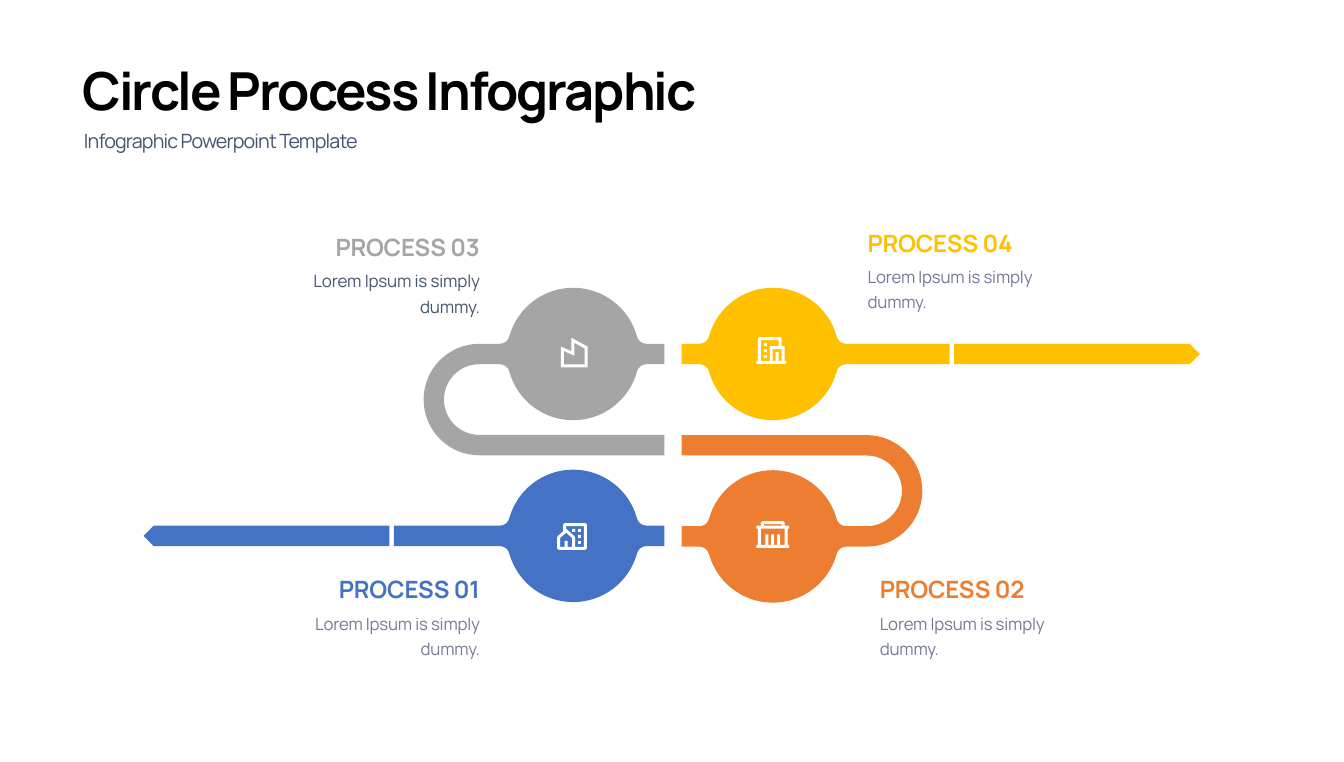
from math import cos, radians, sin, tan

from pptx import Presentation
from pptx.dml.color import RGBColor
from pptx.enum.shapes import MSO_SHAPE
from pptx.enum.text import PP_ALIGN
from pptx.oxml import parse_xml
from pptx.oxml.ns import nsdecls
from pptx.util import Pt

THEME = {
    "font": "Manrope",
    "black": "000000", "slate": "44546A", "muted": "747A94", "white": "FFFFFF",
    "blue": "4472C4", "orange": "ED7D31", "gray": "A5A5A5", "yellow": "FFC000",
    "title": 74, "subtitle": 27.8, "heading": 33.7, "body": 23.8, "body_large": 24,
}

TITLE = "Circle Process Infographic"
SUBTITLE = "Infographic Powerpoint Template"
BODY = "Lorem Ipsum is simply dummy."


def window(x, y):
    return [(x, y), (x + 2, y), (x + 2, y + 2), (x, y + 2)]


# Icon contours on a grid of small units, outer edge first.
HOME = [
    [(19, 18), (1, 18), (0, 17), (0, 9.5), (0.4, 8.8), (4, 5.5), (4, 1), (5, 0),
     (19, 0), (20, 1), (20, 17)],
    [(7, 16), (10, 16), (10, 10), (6, 6.5), (2, 10), (2, 16), (5, 16), (5, 12), (7, 12)],
    [(12, 16), (18, 16), (18, 2), (6, 2), (6, 4), (6.6, 4.3), (11.5, 8.8), (12, 9.6)],
    window(14, 4), window(14, 8), window(14, 12), window(10, 4),
]
BANK = [
    [(19, 3), (22, 3), (22, 5), (21, 5), (21, 16), (22, 16), (22, 18), (0, 18), (0, 16),
     (1, 16), (1, 5), (0, 5), (0, 3), (3, 3), (3, 1), (4, 0), (18, 0), (19, 1)],
    [(19, 5), (3, 5), (3, 16), (6, 16), (6, 9), (8, 9), (8, 16), (10, 16), (10, 9),
     (12, 9), (12, 16), (14, 16), (14, 9), (16, 9), (16, 16), (19, 16)],
    [(5, 2), (5, 3), (17, 3), (17, 2)],
]
FACTORY = [
    [(7, 9), (7, 0), (18, 6), (18, 20), (0, 20), (0, 6)],
    [(9, 3.4), (9, 12), (2, 9), (2, 18), (16, 18), (16, 7.2)],
]
OFFICE = [
    [(20, 18), (0, 18), (0, 16), (1, 16), (1, 1), (2, 0), (16, 0), (17, 1), (17, 6),
     (19, 6), (19, 16), (20, 16)],
    [(15, 16), (17, 16), (17, 8), (11, 8), (11, 16), (13, 16), (13, 10), (15, 10)],
    [(15, 6), (15, 2), (3, 2), (3, 16), (9, 16), (9, 6)],
    window(5, 4), window(5, 8), window(5, 12),
]

# facing: 1 puts the cut end of the track on the right, -1 on the left.
# reach: length of a straight track beyond the disc centre, None for a bend.
STEPS = [
    dict(name="PROCESS 02", color="orange", disc=(1092.2, 758.3), facing=-1, reach=None,
         icon=BANK, icon_at=(1069, 736.6), text_at=(1243.4, 812.9), body_top=860.4,
         body_color="muted", body_size="body"),
    dict(name="PROCESS 03", color="gray", disc=(810, 500.4), facing=1, reach=None,
         icon=FACTORY, icon_at=(792.7, 477.4), text_at=(424.8, 328.3), body_top=375.8,
         body_color="slate", body_size="body_large"),
    dict(name="PROCESS 04", color="yellow", disc=(1092.2, 500.4), facing=-1, reach=249.8,
         icon=OFFICE, icon_at=(1069, 476.6), text_at=(1226.2, 323.3), body_top=370.1,
         body_color="muted", body_size="body"),
    dict(name="PROCESS 01", color="blue", disc=(810, 757.5), facing=1, reach=253.4,
         icon=HOME, icon_at=(787.5, 739.4), text_at=(424.8, 812.2), body_top=860.4,
         body_color="muted", body_size="body"),
]

DISC_RADIUS = 93.6
HALF_TRACK = 14.4
CUT = 128.9            # disc centre to the cut end
BEND_X = -132.5        # disc centre to bend centre
BEND_OUTER = 78.8
BEND_INNER = BEND_OUTER - 2 * HALF_TRACK
ARROW_LENGTH, ARROW_GAP = 347.4, 6.3
ICON_UNIT = 2.1


def arc(center_x, center_y, radius, start, end):
    """Two curves, each a list of two control points and an end point."""
    step = radians(end - start) / 2
    pull = 4 / 3 * tan(step / 4)
    curves = []
    for first in (radians(start), radians(start) + step):
        last = first + step
        unit = [(cos(first) - pull * sin(first), sin(first) + pull * cos(first)),
                (cos(last) + pull * sin(last), sin(last) - pull * cos(last)),
                (cos(last), sin(last))]
        curves.append([(center_x + radius * x, center_y + radius * y) for x, y in unit])
    return curves


def track_outline(reach):
    """Points and curves around a disc at the origin, with the cut end on the right."""
    lower_edge = [
        [(-97.3, HALF_TRACK), (-91.5, 18.7), (-90, 25.5)],
        *arc(0, 0, DISC_RADIUS, 164.2, 15.8),
        [(91.5, 18.7), (97.3, HALF_TRACK), (104, HALF_TRACK)],
    ]
    upper_edge = [[(-x, -y) for x, y in curve] for curve in lower_edge]
    if reach:
        far = [(-reach, -HALF_TRACK), (-reach, HALF_TRACK)]
    else:
        bend_y = BEND_OUTER - HALF_TRACK
        far = [(BEND_X, -HALF_TRACK), *arc(BEND_X, bend_y, BEND_OUTER, 270, 90),
               (CUT, bend_y + BEND_OUTER), (CUT, bend_y + BEND_INNER),
               (BEND_X, bend_y + BEND_INNER), *arc(BEND_X, bend_y, BEND_INNER, 90, 270)]
    return [(CUT, -HALF_TRACK), (104, -HALF_TRACK), *upper_edge, *far,
            (-104, HALF_TRACK), *lower_edge, (CUT, HALF_TRACK)]


def paint(shape, color):
    shape.shadow.inherit = False
    shape.fill.solid()
    shape.fill.fore_color.rgb = RGBColor.from_string(THEME[color])
    shape.line.fill.background()


def add_outline(slide, contours, origin, scale, color):
    def place(point):
        return tuple(Pt(start + scale * value) for start, value in zip(origin, point))

    builder = slide.shapes.build_freeform(*place(contours[0][0]))
    curve_starts, line_count = [], 0
    for number, (start, *parts) in enumerate(contours):
        if number:
            builder.move_to(*place(start))
        points = []
        for part in parts:
            if isinstance(part, list):
                curve_starts.append(line_count + len(points))
                points.extend(part)
            else:
                points.append(part)
        builder.add_line_segments([place(point) for point in points], close=True)
        line_count += len(points)
    shape = builder.convert_to_shape()
    lines = shape._element.xpath(".//a:lnTo")
    for index in curve_starts:
        curve = parse_xml(f"<a:cubicBezTo {nsdecls('a')}/>")
        lines[index].addprevious(curve)
        for line in lines[index:index + 3]:
            curve.append(line[0])
            line.getparent().remove(line)
    paint(shape, color)


def add_text(slide, text, box, size, color, spacing, bold=False, line=None,
             align=PP_ALIGN.LEFT, insets=(0, 0)):
    shape = slide.shapes.add_textbox(*[Pt(value) for value in box])
    frame = shape.text_frame
    frame.word_wrap = True
    frame.margin_left = frame.margin_right = Pt(insets[0])
    frame.margin_top = frame.margin_bottom = Pt(insets[1])
    paragraph = frame.paragraphs[0]
    paragraph.alignment = align
    if line:
        paragraph.line_spacing = Pt(line)
    run = paragraph.add_run()
    run.text = text
    run._r.get_or_add_rPr().set("spc", str(round(spacing * 100)))
    font = paragraph.font
    font.name, font.size, font.bold = THEME["font"], Pt(THEME[size]), bold
    font.color.rgb = RGBColor.from_string(THEME[color])


def add_arrow(slide, step):
    center_x, center_y = step["disc"]
    start = step["reach"] + ARROW_GAP
    left = center_x + start if step["facing"] < 0 else center_x - start - ARROW_LENGTH
    arrow = slide.shapes.add_shape(MSO_SHAPE.PENTAGON, Pt(left), Pt(center_y - HALF_TRACK),
                                   Pt(ARROW_LENGTH), Pt(2 * HALF_TRACK))
    arrow.rotation = 180 if step["facing"] > 0 else 0
    paint(arrow, step["color"])


def add_step(slide, step):
    add_outline(slide, [track_outline(step["reach"])], step["disc"], step["facing"],
                step["color"])
    if step["reach"]:
        add_arrow(slide, step)
    add_outline(slide, step["icon"], step["icon_at"], ICON_UNIT, "white")
    left, top = step["text_at"]
    align = PP_ALIGN.RIGHT if step["facing"] > 0 else PP_ALIGN.LEFT
    add_text(slide, step["name"], (left, top, 253.4, 41), "heading", step["color"], -0.3,
             bold=True, align=align)
    add_text(slide, BODY, (left, step["body_top"], 253.4, 72.7), step["body_size"],
             step["body_color"], -0.2, line=1.5 * THEME[step["body_size"]], align=align)


presentation = Presentation()
presentation.slide_width, presentation.slide_height = Pt(1899.4), Pt(1077.1)
slide = presentation.slides.add_slide(presentation.slide_layouts[6])
add_text(slide, TITLE, (109.4, 73.4, 1457.3, 99.4), "title", "black", -2.9,
         bold=True, line=94, insets=(7.2, 3.6))
add_text(slide, SUBTITLE, (111.6, 170.6, 1385.3, 46.8), "subtitle", "slate", -1.2,
         line=42, insets=(7.2, 3.6))
for step in STEPS:
    add_step(slide, step)
presentation.save("out.pptx")
